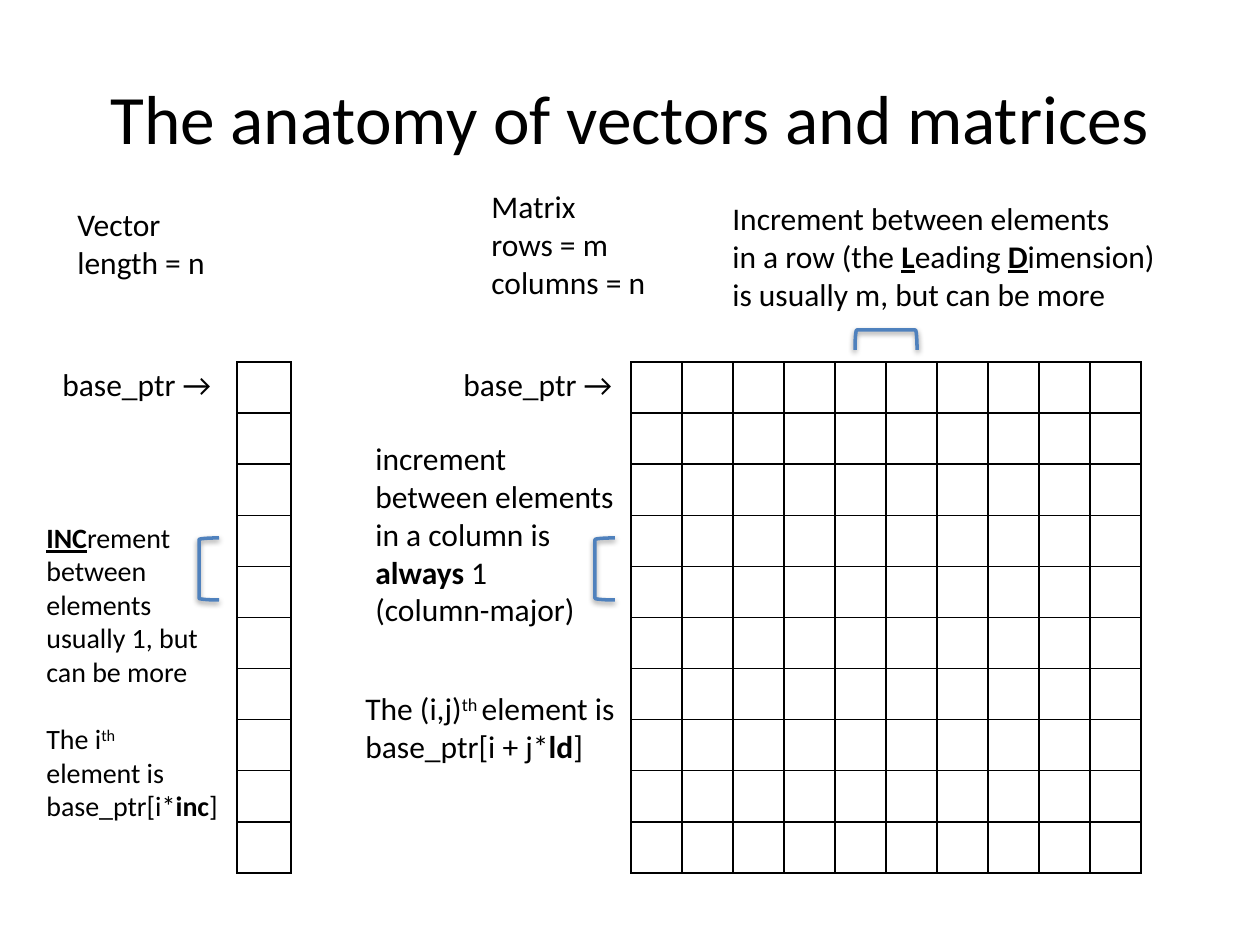
from lxml.etree import SubElement
from pptx import Presentation
from pptx.dml.color import RGBColor
from pptx.enum.shapes import MSO_SHAPE
from pptx.enum.text import MSO_ANCHOR, MSO_AUTO_SIZE, PP_ALIGN
from pptx.oxml.ns import qn
from pptx.util import Pt

EMU_PER_PX = 914400 / 126
COLORS = {"ink": "000000", "paper": "FFFFFF", "bracket": "4F81BD"}


def px(length):
    return round(length * EMU_PER_PX)


def color(name):
    return RGBColor.from_string(COLORS[name])


def bold(text):
    return text, {"bold": True}


def key(text):
    return text, {"bold": True, "underline": True}


def superscript(text):
    return text, {"baseline": 30000}


def write_text(frame, paragraphs, size=18, font="Calibri", align=PP_ALIGN.LEFT, gaps=None):
    for index, pieces in enumerate(paragraphs):
        paragraph = frame.paragraphs[0] if index == 0 else frame.add_paragraph()
        paragraph.alignment = align
        if gaps and index in gaps:
            paragraph.space_before = Pt(gaps[index])
        for piece in [pieces] if isinstance(pieces, str) else pieces:
            text, style = (piece, {}) if isinstance(piece, str) else piece
            run = paragraph.add_run()
            run.text = text
            run.font.name = font
            run.font.size = Pt(size)
            run.font.color.rgb = color("ink")
            run.font.bold = style.get("bold", False)
            run.font.underline = style.get("underline", False)
            if "baseline" in style:
                run.font._element.set("baseline", str(style["baseline"]))


class SlideBuilder:
    def __init__(self, presentation):
        self.slide = presentation.slides.add_slide(presentation.slide_layouts[5])
        self.border_width = 1
        self.bracket_width = 2
        self.bracket_size = (20, 62)

    def title(self, text, left, top, width, height):
        shape = self.slide.shapes.title
        shape.left, shape.top = px(left), px(top)
        shape.width, shape.height = px(width), px(height)
        shape.text_frame.vertical_anchor = MSO_ANCHOR.MIDDLE
        write_text(shape.text_frame, [text], size=39.6, align=PP_ALIGN.CENTER)

    def text(self, paragraphs, left, top, width, height, wrap=True, **style):
        shape = self.slide.shapes.add_textbox(px(left), px(top), px(width), px(height))
        shape.text_frame.word_wrap = wrap
        shape.text_frame.auto_size = MSO_AUTO_SIZE.SHAPE_TO_FIT_TEXT
        write_text(shape.text_frame, paragraphs, **style)

    def grid(self, rows, columns, left, top, cell_width, cell_height):
        table = self.slide.shapes.add_table(
            rows, columns, px(left), px(top), px(columns * cell_width), px(rows * cell_height)
        ).table
        table.first_row = False
        table.horz_banding = False
        for column in table.columns:
            column.width = px(cell_width)
        for row in table.rows:
            row.height = px(cell_height)
        for cell in table.iter_cells():
            self.border(cell)
            cell.fill.solid()
            cell.fill.fore_color.rgb = color("paper")

    def border(self, cell):
        properties = cell._tc.get_or_add_tcPr()
        for side in ("a:lnL", "a:lnR", "a:lnT", "a:lnB"):
            line = SubElement(properties, qn(side), w=str(Pt(self.border_width)))
            fill = SubElement(line, qn("a:solidFill"))
            SubElement(fill, qn("a:srgbClr"), val=COLORS["ink"])

    def bracket(self, left, top, rotation=0):
        width, height = self.bracket_size
        shape = self.slide.shapes.add_shape(
            MSO_SHAPE.LEFT_BRACKET, px(left), px(top), px(width), px(height)
        )
        shape.rotation = rotation
        shape.fill.background()
        shape.line.color.rgb = color("bracket")
        shape.line.width = Pt(self.bracket_width)
        shape.shadow.inherit = False
        effects = shape._element.spPr.find(qn("a:effectLst"))
        shadow = SubElement(
            effects, qn("a:outerShdw"), blurRad="40000", dist="20000", dir="5400000", rotWithShape="0"
        )
        shade = SubElement(shadow, qn("a:srgbClr"), val=COLORS["ink"])
        SubElement(shade, qn("a:alpha"), val="38000")


def main():
    presentation = Presentation()
    presentation.slide_width, presentation.slide_height = px(1260), px(945)
    builder = SlideBuilder(presentation)

    builder.title("The anatomy of vectors and matrices", 63, 38, 1134, 157)
    builder.grid(10, 1, 237, 362, 54, 51)
    builder.grid(10, 10, 631, 362, 51, 51)

    builder.text(["Vector", "length = n"], 65, 199, 155, 89, wrap=False)
    builder.text(["Matrix", "rows = m", "columns = n"], 479, 181, 181, 127, wrap=False)
    for left in (50, 451):
        builder.text(["base_ptr →"], left, 359, 179, 50, wrap=False)

    builder.text(
        [
            [key("INC"), "rement between elements"],
            "usually 1, but can be more",
            ["The i", superscript("th")],
            "element is",
            ["base_ptr[i*", bold("inc"), "]"],
        ],
        34, 514, 220, 318, size=16, gaps={2: 19.2},
    )
    builder.text(
        [
            "increment between elements",
            ["in a column is ", bold("always"), " 1"],
            "(column-major)",
        ],
        363, 433, 268, 204,
    )
    builder.text(
        [["The (i,j)", superscript("th "), "element is base_ptr[i + j*", bold("ld"), "]"]],
        353, 683, 278, 89,
    )
    builder.text(
        [
            "Increment between elements",
            ["in a row (the ", key("L"), "eading ", key("D"), "imension)"],
            "is usually m, but can be more",
        ],
        720, 193, 479, 127,
    )

    for left in (199, 595):
        builder.bracket(left, 538)
    builder.bracket(876, 309, rotation=90)

    presentation.save("out.pptx")


if __name__ == "__main__":
    main()
